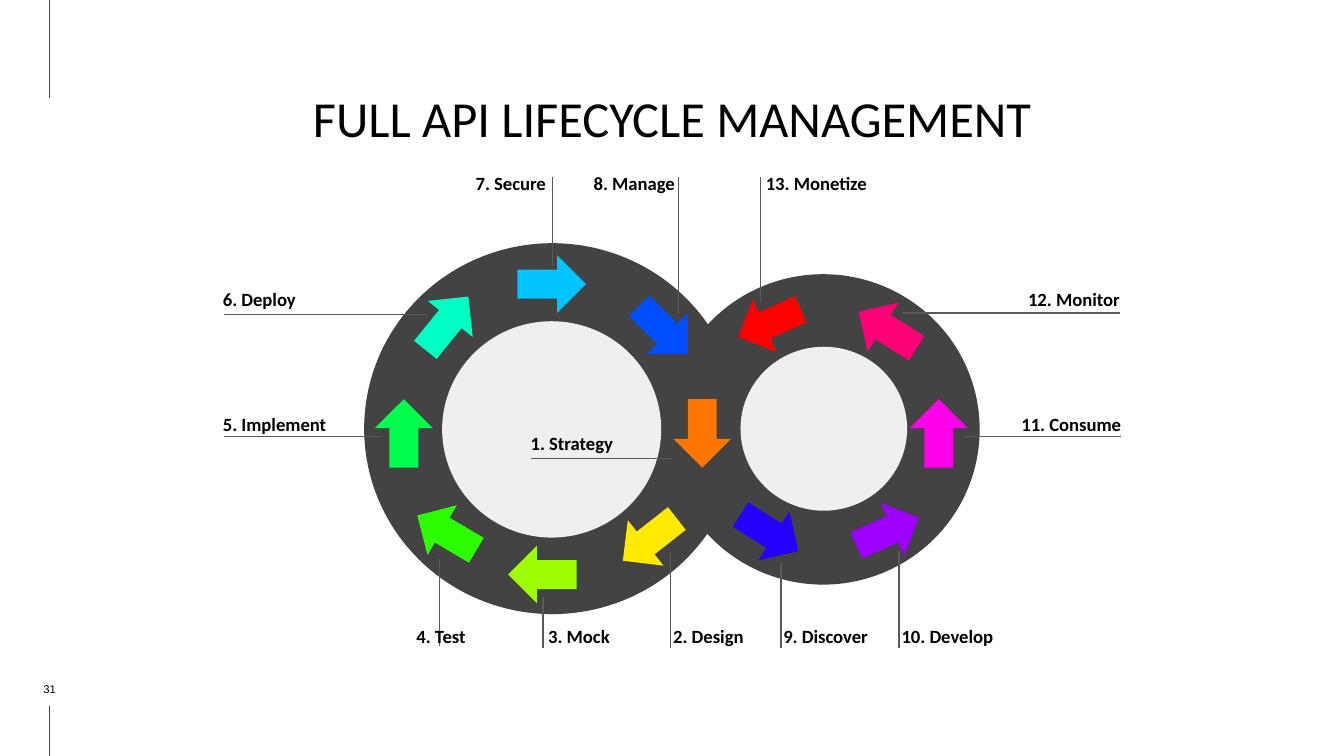
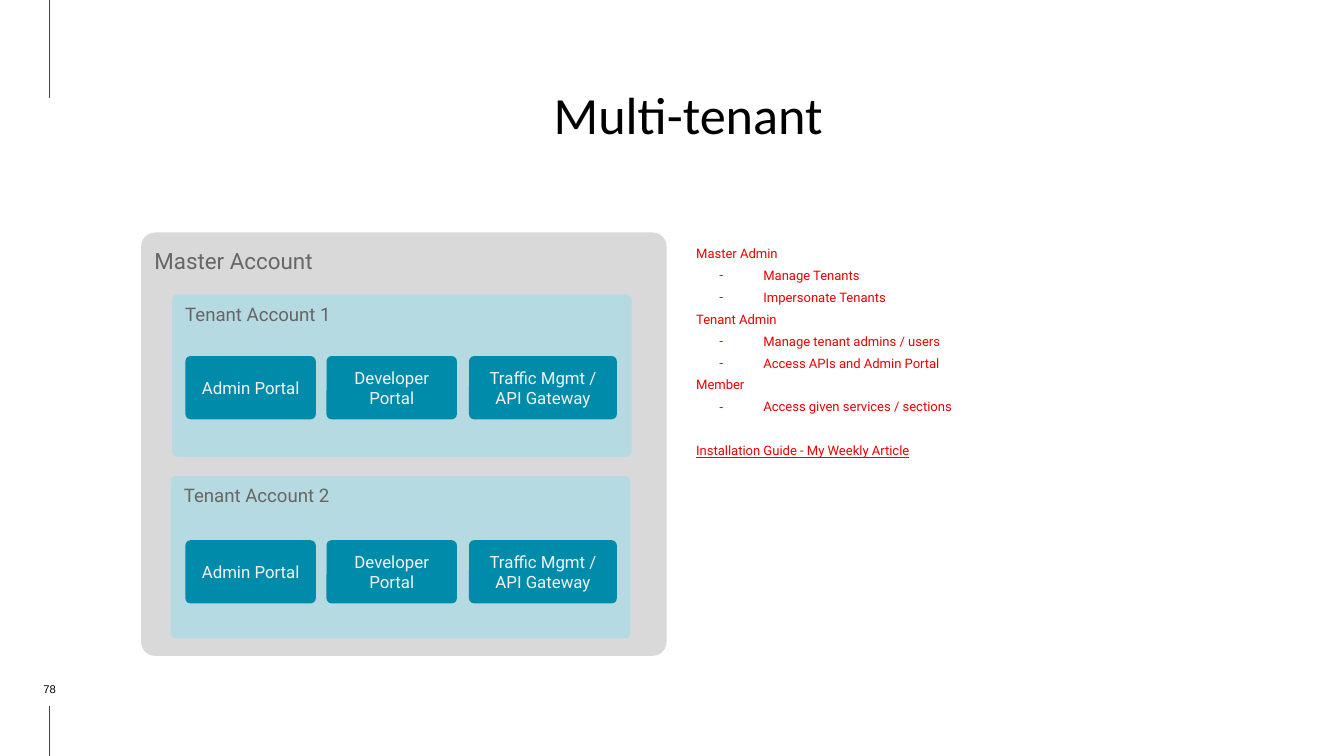
"""Build two slides: the API lifecycle loop and the multi-tenant account model."""
from dataclasses import dataclass
from typing import Any

from lxml import etree
from pptx import Presentation
from pptx.dml.color import RGBColor
from pptx.enum.shapes import MSO_CONNECTOR, MSO_SHAPE
from pptx.enum.text import MSO_ANCHOR, MSO_AUTO_SIZE, PP_ALIGN
from pptx.oxml.ns import qn
from pptx.util import Inches, Pt

LEFT, CENTER, RIGHT = PP_ALIGN.LEFT, PP_ALIGN.CENTER, PP_ALIGN.RIGHT
TOP, MIDDLE, BOTTOM = MSO_ANCHOR.TOP, MSO_ANCHOR.MIDDLE, MSO_ANCHOR.BOTTOM
NO_FIT = MSO_AUTO_SIZE.NONE
STRAIGHT = MSO_CONNECTOR.STRAIGHT
OVAL, ARROW = MSO_SHAPE.OVAL, MSO_SHAPE.RIGHT_ARROW
ROUNDED = MSO_SHAPE.ROUNDED_RECTANGLE

SLIDE_WIDTH = 10
SLIDE_HEIGHT = SLIDE_WIDTH * 9 / 16

BLACK, RED, MARGIN_LINE = "000000", "EE0000", "434343"
RING, HOLE, LEADER = "434343", "EFEFEF", "595959"
MASTER_FILL, TENANT_FILL, PORTAL_FILL = "D9D9D9", "A3DBE8", "008BAB"
HEADING_GREY, PORTAL_TEXT = "666666", "F3F3F3"

Box = tuple[float, float, float, float]


@dataclass(frozen=True)
class TextStyle:
    """Font, paragraph and frame settings of a text."""

    font: str
    size: float
    color: str
    bold: bool = False
    align: PP_ALIGN = LEFT
    anchor: MSO_ANCHOR = TOP
    inset: float = 0.1


@dataclass(frozen=True)
class Step:
    """One lifecycle step: its arrow, leader line and label."""

    label: str
    color: str
    arrow: tuple[float, float]
    angle: float
    leader: Box
    label_at: tuple[float, float]
    label_width: float
    align: PP_ALIGN = LEFT


PAGE_NUMBER = TextStyle("Arial", 6, BLACK, align=CENTER, anchor=BOTTOM, inset=0)
PORTAL_STYLE = TextStyle("Roboto", 9, PORTAL_TEXT, align=CENTER, anchor=MIDDLE)
ROLE_STYLE = TextStyle("Roboto", 7, RED, inset=0)

RINGS: list[tuple[Box, Box]] = [
    ((2.71, 1.81, 2.8, 2.76), (3.29, 2.39, 1.63, 1.61)),
    ((4.96, 2.04, 2.33, 2.31), (5.51, 2.58, 1.24, 1.22)),
]
ARROW_SIZE = (0.51, 0.43)
STEPS = [
    Step("2. Design", "FFEA00", (4.58, 3.8), 142, (4.99, 4.11, 4.99, 4.82), (4.91, 4.55), 0.75),
    Step("3. Mock", "9DFF00", (3.78, 4.06), 180, (4.04, 4.44, 4.04, 4.82), (3.98, 4.55), 0.75),
    Step("4. Test", "2BFF00", (3.07, 3.75), 210.5, (3.27, 4.16, 3.27, 4.81), (3, 4.55), 0.86),
    Step("5. Implement", "00FF4C", (2.75, 3.01), 270, (2.84, 3.25, 1.67, 3.25), (1.56, 2.97), 1),
    Step("6. Deploy", "00FFC3", (3.07, 2.19), 308.9, (3.18, 2.34, 1.67, 2.34), (1.56, 2.04), 1.16),
    Step("7. Secure", "00C3FF", (3.85, 1.9), 0, (4.11, 1.32, 4.11, 1.97), (3.41, 1.18), 0.75, RIGHT),
    Step("8. Manage", "004CFF", (4.68, 2.24), 45, (5.05, 1.32, 5.05, 2.34), (4.16, 1.18), 0.96, RIGHT),
    Step("9. Discover", "2600FF", (5.47, 3.75), 32.3, (5.81, 4.19, 5.81, 4.82), (5.73, 4.55), 0.84),
    Step("10. Develop", "9D00FF", (6.35, 3.74), 336.1, (6.69, 4.1, 6.69, 4.82), (6.61, 4.55), 1.16),
    Step("11. Consume", "FF00EA", (6.73, 3.01), 270, (8.34, 3.25, 7.17, 3.25), (7.28, 2.97), 1.16, RIGHT),
    Step("12. Monitor", "FF0077", (6.35, 2.24), 212.3, (8.33, 2.33, 6.71, 2.33), (7.27, 2.04), 1.16, RIGHT),
    Step("13. Monetize", "FF0000", (5.47, 2.19), 156.1, (5.66, 1.32, 5.66, 2.25), (5.6, 1.18), 1.1),
    Step("1. Strategy", "FF7700", (4.97, 3.01), 90, (3.95, 3.41, 5, 3.41), (3.85, 3.11), 0.83),
]

TENANTS = [("Tenant Account 1", 1.28, 2.19, 2.65), ("Tenant Account 2", 1.27, 3.54, 4.02)]
PORTALS = [
    ("Admin Portal", 1.38, 0.97),
    ("Developer Portal", 2.43, 0.97),
    ("Traffic Mgmt / API Gateway", 3.49, 1.1),
]
ROLES = [
    ("Master Admin", ["Manage Tenants", "Impersonate Tenants"]),
    ("Tenant Admin", ["Manage tenant admins / users", "Access APIs and Admin Portal"]),
    ("Member", ["Access given services / sections"]),
]
GUIDE = "Installation Guide - My Weekly Article"


def rgb(color: str) -> RGBColor:
    """Turn a hex string into a colour."""
    return RGBColor.from_string(color)


def apply(target: Any, values: dict[str, Any]) -> None:
    """Set each named attribute on the target."""
    for name, value in values.items():
        setattr(target, name, value)


def place(shape: Any, box: Box) -> None:
    """Move and size a shape in inches."""
    apply(shape, dict(zip(("left", "top", "width", "height"), map(Inches, box))))


def format_frame(frame: Any, style: TextStyle) -> None:
    """Set wrapping, anchor and margins of a text frame."""
    margins = dict.fromkeys(
        ("margin_left", "margin_top", "margin_right", "margin_bottom"), Inches(style.inset))
    apply(frame, {"word_wrap": True, "auto_size": NO_FIT,
                  "vertical_anchor": style.anchor, **margins})


def format_paragraph(paragraph: Any, style: TextStyle) -> None:
    """Set alignment and font of a paragraph."""
    apply(paragraph, {"alignment": style.align, "space_before": Pt(0)})
    apply(paragraph.font, {"name": style.font, "size": Pt(style.size), "bold": style.bold})
    paragraph.font.color.rgb = rgb(style.color)


def write(shape: Any, text: str, style: TextStyle) -> None:
    """Put one formatted paragraph into a shape."""
    format_frame(shape.text_frame, style)
    shape.text_frame.text = text
    format_paragraph(shape.text_frame.paragraphs[0], style)


def add_text(slide: Any, box: Box, text: str, style: TextStyle) -> None:
    """Add a text box."""
    write(slide.shapes.add_textbox(*map(Inches, box)), text, style)


def add_filled(slide: Any, kind: MSO_SHAPE, box: Box, color: str,
               corner: float | None = None, opacity: int | None = None) -> Any:
    """Add a preset shape with a plain fill and no outline."""
    shape = slide.shapes.add_shape(kind, *map(Inches, box))
    shape.shadow.inherit = False
    shape.fill.solid()
    shape.fill.fore_color.rgb = rgb(color)
    shape.line.fill.background()
    if corner is not None:
        shape.adjustments[0] = corner
    if opacity is not None:
        tint = shape.fill._xPr.find(f".//{qn('a:srgbClr')}")
        etree.SubElement(tint, qn("a:alpha"), val=str(opacity * 1000))
    return shape


def add_line(slide: Any, ends: Box, color: str) -> None:
    """Add a thin straight line."""
    line = slide.shapes.add_connector(STRAIGHT, *map(Inches, ends))
    line.line.color.rgb = rgb(color)
    line.line.width = Pt(0.75)
    etree.SubElement(line._element.spPr, qn("a:effectLst"))


def start_slide(deck: Any, layout: int, title: str, title_at: tuple[float, float],
                size: float, number: str) -> Any:
    """Add a slide with its margin lines, title and page number."""
    slide = deck.slides.add_slide(deck.slide_layouts[layout])
    for start, end in ((0.73, 0), (SLIDE_HEIGHT, 5.25)):
        add_line(slide, (0.37, start, 0.37, end), MARGIN_LINE)
    place(slide.shapes.title, (*title_at, 8.9, 0.66))
    write(slide.shapes.title, title, TextStyle("Calibri", size, BLACK, align=CENTER, inset=0))
    add_text(slide, (0.07, 5.06, 0.6, 0.12), number, PAGE_NUMBER)
    return slide


def add_step(slide: Any, step: Step) -> None:
    """Draw the arrow, leader line and label of a step."""
    arrow = add_filled(slide, ARROW, (*step.arrow, *ARROW_SIZE), step.color)
    arrow.rotation = step.angle
    add_line(slide, step.leader, LEADER)
    add_text(slide, (*step.label_at, step.label_width, 0.37), step.label,
             TextStyle("Calibri", 10, BLACK, bold=True, align=step.align))


def build_lifecycle(deck: Any) -> None:
    """Build the lifecycle slide."""
    slide = start_slide(deck, 5, "FULL API LIFECYCLE MANAGEMENT", (0.55, 0.65), 27, "31")
    for ring, hole in RINGS:
        add_filled(slide, OVAL, ring, RING)
        add_filled(slide, OVAL, hole, HOLE)
    for step in STEPS:
        add_step(slide, step)


def add_role_line(frame: Any, text: str, dashed: bool = False) -> Any:
    """Add one line to the role list, with a dash if asked."""
    paragraph = frame.paragraphs[0]
    if paragraph.text:
        paragraph = frame.add_paragraph()
    paragraph.text = text
    properties = paragraph._p.get_or_add_pPr()
    properties.set("marL", str(Inches(0.5 if dashed else 0)))
    properties.set("indent", str(Inches(-0.33 if dashed else 0)))
    if dashed:
        bullet_color = etree.SubElement(properties, qn("a:buClr"))
        etree.SubElement(bullet_color, qn("a:srgbClr"), val=RED)
        etree.SubElement(properties, qn("a:buChar"), char="-")
    else:
        etree.SubElement(properties, qn("a:buNone"))
    format_paragraph(paragraph, ROLE_STYLE)
    paragraph.line_spacing = 1.4
    return paragraph


def fill_roles(body: Any) -> None:
    """Fill the body placeholder with the roles and the guide."""
    place(body, (5.18, 1.78, 3.92, 2.89))
    frame = body.text_frame
    format_frame(frame, ROLE_STYLE)
    for role, rights in ROLES:
        add_role_line(frame, role)
        for right in rights:
            add_role_line(frame, right, dashed=True)
    guide = add_role_line(frame, GUIDE)
    guide.space_before = Pt(11.7)
    guide.runs[0].font.underline = True


def build_tenants(deck: Any) -> None:
    """Build the multi-tenant slide."""
    slide = start_slide(deck, 1, "Multi-tenant", (0.67, 0.61), 28, "78")
    add_filled(slide, ROUNDED, (1.05, 1.73, 3.91, 3.15), MASTER_FILL, corner=0.033)
    add_text(slide, (1.05, 1.79, 3.91, 0.29), "Master Account",
             TextStyle("Roboto", 12, HEADING_GREY, anchor=MIDDLE))
    for tenant, left, top, portal_top in TENANTS:
        add_filled(slide, ROUNDED, (left, top, 3.42, 1.21), TENANT_FILL, corner=0.033, opacity=65)
        add_text(slide, (left, top, 3.42, 0.29), tenant,
                 TextStyle("Roboto", 10, HEADING_GREY, anchor=MIDDLE))
        for portal, portal_left, width in PORTALS:
            tile = add_filled(slide, ROUNDED, (portal_left, portal_top, width, 0.47),
                              PORTAL_FILL, corner=0.08)
            write(tile, portal, PORTAL_STYLE)
    fill_roles(slide.placeholders[1])


def main() -> None:
    """Build and save the deck."""
    deck = Presentation()
    apply(deck, {"slide_width": Inches(SLIDE_WIDTH), "slide_height": Inches(SLIDE_HEIGHT)})
    build_lifecycle(deck)
    build_tenants(deck)
    deck.save("out.pptx")


if __name__ == "__main__":
    main()
